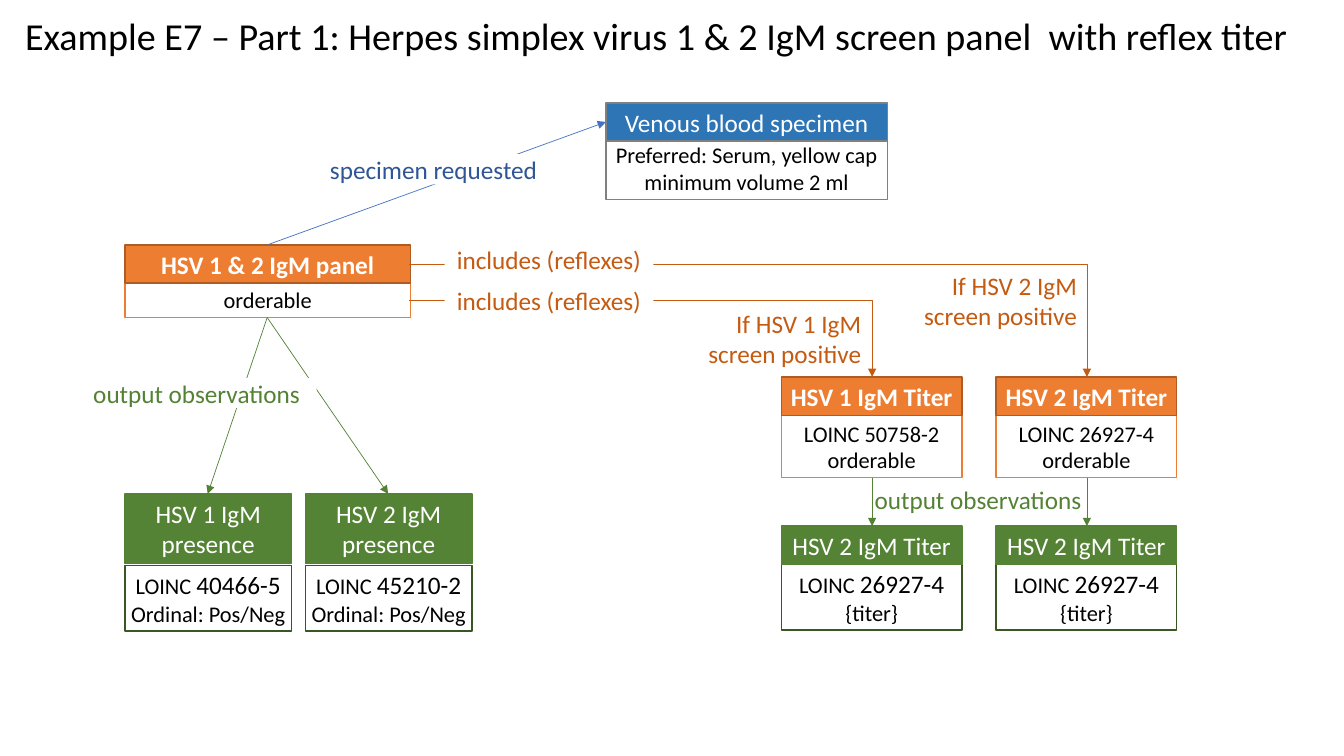
"""Builds the HSV IgM screen panel slide with its reflex titers."""
from lxml.etree import SubElement
from pptx import Presentation
from pptx.dml.color import RGBColor
from pptx.enum.shapes import MSO_CONNECTOR, MSO_SHAPE
from pptx.enum.text import MSO_ANCHOR, PP_ALIGN
from pptx.oxml.ns import qn
from pptx.util import Inches, Pt

BLACK = RGBColor(0x00, 0x00, 0x00)
WHITE = RGBColor(0xFF, 0xFF, 0xFF)
GREY = RGBColor(0x80, 0x80, 0x80)
ORANGE = RGBColor(0xED, 0x7D, 0x31)
ORANGE_EDGE = RGBColor(0xAF, 0x5C, 0x24)
ORANGE_TEXT = RGBColor(0xC5, 0x5A, 0x11)
GREEN = RGBColor(0x55, 0x83, 0x35)
GREEN_LINE = RGBColor(0x54, 0x82, 0x35)
GREEN_EDGE = RGBColor(0x38, 0x57, 0x23)
BLUE = RGBColor(0x2E, 0x75, 0xB6)
BLUE_LINE = RGBColor(0x44, 0x72, 0xC4)
BLUE_TEXT = RGBColor(0x2F, 0x55, 0x97)

prs = Presentation()
prs.slide_width, prs.slide_height = Inches(13.33), Inches(7.5)
s = prs.slides.add_slide(prs.slide_layouts[6])


def add_box(x, y, w, h, paragraphs, color, fill=None, edge=None, bold=False,
            inset=(0.04, 0.04), align=PP_ALIGN.CENTER, anchor=MSO_ANCHOR.MIDDLE):
    sp = s.shapes.add_shape(MSO_SHAPE.RECTANGLE, Inches(x), Inches(y), Inches(w), Inches(h))
    sp.shadow.inherit = False
    for part, paint in ((sp.fill, fill), (sp.line.fill, edge)):
        if paint is None:
            part.background()
        else:
            part.solid()
            part.fore_color.rgb = paint
    if edge is not None:
        sp.line.width = Pt(1)
    tf = sp.text_frame
    tf.word_wrap = True
    tf.vertical_anchor = anchor
    tf.margin_left = tf.margin_right = Inches(inset[0])
    tf.margin_top = tf.margin_bottom = Inches(inset[1])
    for i, runs in enumerate(paragraphs):
        p = tf.add_paragraph() if i else tf.paragraphs[0]
        p.alignment = align
        for text, size in runs:
            r = p.add_run()
            r.text = text
            r.font.name, r.font.size, r.font.bold = "Calibri", Pt(size), bold
            r.font.color.rgb = color
    return sp


def add_arrow(x1, y1, x2, y2, color, bent=False):
    kind = MSO_CONNECTOR.ELBOW if bent else MSO_CONNECTOR.STRAIGHT
    c = s.shapes.add_connector(kind, Inches(x1), Inches(y1), Inches(x2), Inches(y2))
    c.line.color.rgb = color
    c.line.width = Pt(0.5)
    sp_pr = c._element.spPr
    if bent:
        sp_pr.find(qn("a:prstGeom")).set("prst", "bentConnector2")
    SubElement(sp_pr.find(qn("a:ln")), qn("a:tailEnd"), type="triangle")
    SubElement(sp_pr, qn("a:effectLst"))


title = add_box(0.15, 0.05, 12.94, 0.57,
                [[("Example E7 – Part 1: Herpes simplex virus 1 & 2 IgM screen panel  with reflex titer", 27.2)]],
                BLACK, inset=(0.1, 0.05), align=PP_ALIGN.LEFT, anchor=MSO_ANCHOR.BOTTOM)
title.text_frame.paragraphs[0].line_spacing = 0.8

specimen_style = (BLUE, GREY, GREY, False)
order_style = (ORANGE, ORANGE_EDGE, ORANGE, True)
result_style = (GREEN, GREEN_LINE, GREEN_EDGE, False)

orderable = [("orderable", 16)]
cards = [
    (6.01, 1.02, 2.79, 0.38, 1.36, 0.62, specimen_style, "Venous blood specimen",
     [[("Preferred: Serum, yellow cap", 16)], [("minimum volume 2 ml", 16)]]),
    (1.24, 2.43, 2.83, 0.38, 2.8, 0.35, order_style, "HSV 1 & 2 IgM panel", [orderable]),
]
for x, number, code in ((1.24, 1, "40466-5"), (3.03, 2, "45210-2")):
    cards.append((x, 4.9, 1.65, 0.69, 5.61, 0.65, result_style, f"HSV {number} IgM presence",
                  [[("LOINC ", 16), (code, 18)], [("Ordinal: Pos/Neg", 16)]]))
for x, number, code in ((7.75, 1, "50758-2"), (9.88, 2, "26927-4")):
    cards.append((x, 3.74, 1.79, 0.38, 4.12, 0.62, order_style, f"HSV {number} IgM Titer",
                  [[(f"LOINC {code}", 16)], orderable]))
    cards.append((x, 5.22, 1.79, 0.38, 5.6, 0.65, result_style, "HSV 2 IgM Titer",
                  [[("LOINC ", 16), ("26927-4", 18)], [("{titer}", 16)]]))

for x, head_y, w, head_h, body_y, body_h, style, heading, body in cards:
    fill, head_edge, body_edge, bold = style
    add_box(x, body_y, w, body_h, body, BLACK, WHITE, body_edge)
    add_box(x, head_y, w, head_h, [[(heading, 18)]], WHITE, fill, head_edge, bold)

add_arrow(2.65, 2.43, 6.01, 1.21, BLUE_LINE)
for presence_x in (2.06, 3.85):
    add_arrow(2.65, 3.15, presence_x, 4.9, GREEN_LINE)
for titer_x, panel_y in ((8.65, 2.98), (10.78, 2.62)):
    add_arrow(4.06, panel_y, titer_x, 3.74, ORANGE_TEXT, bent=True)
    add_arrow(titer_x, 4.74, titer_x, 5.22, GREEN_LINE)

for x, y, w, h, text, color, fill in (
    (3.14, 1.53, 2.32, 0.3, "specimen requested", BLUE_TEXT, WHITE),
    (4.41, 2.42, 2.07, 0.31, "includes (reflexes)", ORANGE_TEXT, WHITE),
    (4.41, 2.83, 2.07, 0.31, "includes (reflexes)", ORANGE_TEXT, WHITE),
    (0.76, 3.75, 2.38, 0.3, "output observations", GREEN_LINE, WHITE),
    (8.51, 4.8, 2.38, 0.3, "output observations", GREEN_LINE, None),
):
    add_box(x, y, w, h, [[(text, 18)]], color, fill, inset=(0, 0))

for x, y, number in ((6.85, 3.01, 1), (8.99, 2.63, 2)):
    add_box(x, y, 1.79, 0.71, [[(f"If HSV {number} IgM screen positive", 18)]], ORANGE_TEXT,
            inset=(0.1, 0.05), align=PP_ALIGN.RIGHT, anchor=MSO_ANCHOR.TOP)

prs.save("out.pptx")
